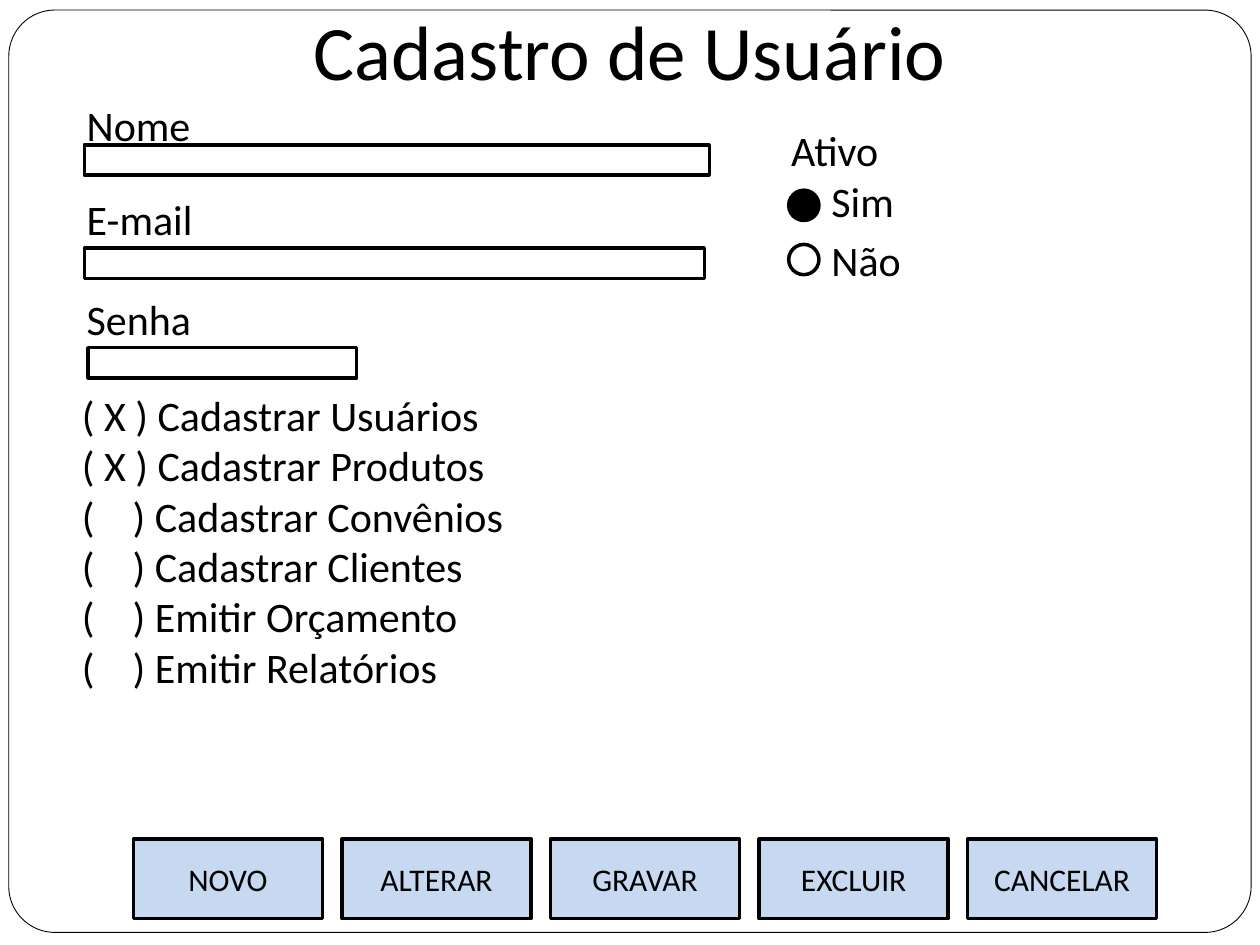
from pptx import Presentation, util as u
from pptx.dml.color import RGBColor
from pptx.enum import shapes, text

BLACK = RGBColor(0, 0, 0)
WHITE = RGBColor(255, 255, 255)
LIGHT_BLUE = RGBColor(0xC6, 0xD9, 0xF1)

TITLE = "Cadastro de Usuário"
FIELDS = [
    ("Nome", 0.74, (0.67, 1.15, 4.96, 0.24)),
    ("E-mail", 1.49, (0.67, 1.97, 4.92, 0.24)),
    ("Senha", 2.28, (0.7, 2.76, 2.13, 0.24)),
]
STATUS = "Ativo"
OPTIONS = [("Sim", 1.34, 1.51, BLACK), ("Não", 1.81, 1.94, WHITE)]
PERMISSIONS = [
    ("X", "Cadastrar Usuários"),
    ("X", "Cadastrar Produtos"),
    ("  ", "Cadastrar Convênios"),
    ("  ", "Cadastrar Clientes"),
    ("  ", "Emitir Orçamento"),
    ("  ", "Emitir Relatórios"),
]
BUTTONS = ["NOVO", "ALTERAR", "GRAVAR", "EXCLUIR", "CANCELAR"]
BUTTON_LEFT, BUTTON_STEP = 1.06, 1.655

presentation = Presentation()
presentation.slide_width, presentation.slide_height = u.Inches(10), u.Inches(7.5)
slide = presentation.slides.add_slide(presentation.slide_layouts[1])


def place(shape, box):
    shape.left, shape.top, shape.width, shape.height = map(u.Inches, box)


def write(shape, lines, size=24, align=text.PP_ALIGN.LEFT, anchor=text.MSO_ANCHOR.TOP):
    frame = shape.text_frame
    frame.text = "\n".join(lines)
    frame.word_wrap = True
    frame.auto_size = text.MSO_AUTO_SIZE.NONE
    frame.vertical_anchor = anchor
    for paragraph in frame.paragraphs:
        paragraph.alignment = align
        paragraph.space_before = u.Pt(0)
        for run in paragraph.runs:
            run.font.name, run.font.size = "Calibri", u.Pt(size)
            run.font.color.rgb = BLACK


def add_label(label, *box):
    write(slide.shapes.add_textbox(*map(u.Inches, box)), [label])


def add_box(box, fill=WHITE, kind=shapes.MSO_SHAPE.RECTANGLE, line=2):
    shape = slide.shapes.add_shape(kind, *map(u.Inches, box))
    shape.shadow.inherit = False
    shape.fill.solid()
    shape.fill.fore_color.rgb = fill
    shape.line.color.rgb = BLACK
    shape.line.width = u.Pt(line)
    return shape


card = add_box((0.07, 0.08, 9.86, 7.32), kind=shapes.MSO_SHAPE.ROUNDED_RECTANGLE, line=0.5)
card.adjustments[0] = 0.05

title, permissions = slide.shapes.title, slide.placeholders[1]
for placeholder in (title, permissions):
    card.element.getparent().append(placeholder.element)

place(title, (0.5, 0.05, 9, 0.69))
write(title, [TITLE], 44, text.PP_ALIGN.CENTER, text.MSO_ANCHOR.MIDDLE)

for label, top, box in FIELDS:
    add_label(label, 0.59, top, 2.36, 0.44)
    add_box(box)

add_label(STATUS, 6.18, 0.94, 2.36, 0.44)
for label, label_top, circle_top, fill in OPTIONS:
    add_label(label, 6.5, label_top, 2.28, 0.44)
    add_box((6.26, circle_top, 0.24, 0.24), fill, shapes.MSO_SHAPE.OVAL)

place(permissions, (0.55, 3.04, 6.22, 4.41))
write(permissions, [f"( {mark} ) {name}" for mark, name in PERMISSIONS])
for paragraph in permissions.text_frame.paragraphs:
    properties = paragraph._p.get_or_add_pPr()
    properties.set("marL", "0")
    properties.set("indent", "0")
    properties.append(properties.makeelement(
        "{http://schemas.openxmlformats.org/drawingml/2006/main}buNone", {}))

for column, label in enumerate(BUTTONS):
    button = add_box((BUTTON_LEFT + column * BUTTON_STEP, 6.66, 1.5, 0.63), LIGHT_BLUE)
    write(button, [label], 18, text.PP_ALIGN.CENTER, text.MSO_ANCHOR.MIDDLE)

presentation.save("out.pptx")
